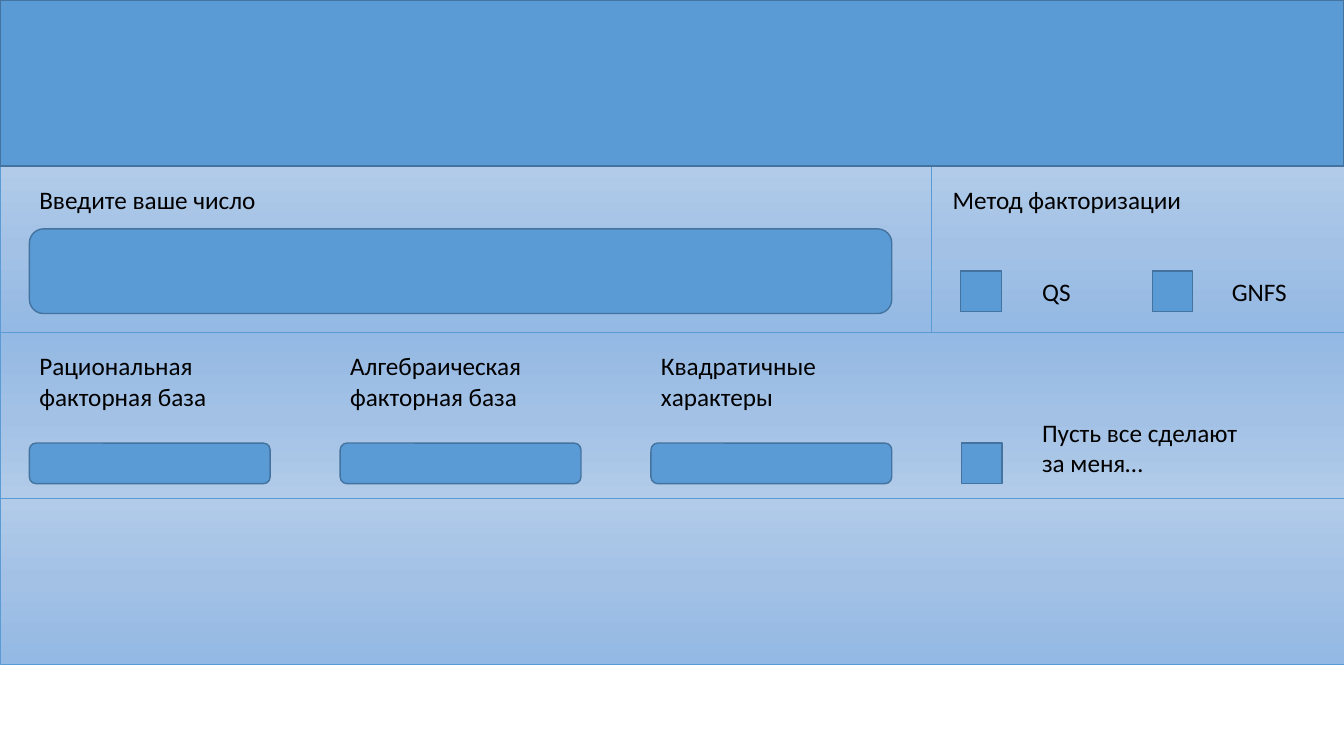
from copy import deepcopy
from dataclasses import dataclass

from pptx import Presentation
from pptx.dml.color import RGBColor
from pptx.enum.shapes import MSO_SHAPE as Preset
from pptx.enum.text import MSO_AUTO_SIZE as AutoSize
from pptx.oxml.ns import qn
from pptx.shapes.autoshape import Shape
from pptx.slide import Slide
from pptx.util import Pt


@dataclass(frozen=True)
class Theme:
    font: str = "Calibri"
    text_size: float = 18
    text: str = "000000"
    fill: str = "5B9BD5"
    control_line: str = "43739E"
    band_line: str = "5B9BD5"
    gradient: tuple[str, str, str] = ("B1CBE9", "A3C1E5", "93B9E4")
    control_line_width: float = 1
    band_line_width: float = 0.5


@dataclass(frozen=True)
class Band:
    left: float
    row: int
    width: float
    rotation: float = 0


@dataclass(frozen=True)
class Control:
    left: float
    top: float
    width: float
    height: float
    preset: Preset = Preset.RECTANGLE


@dataclass(frozen=True)
class Label:
    text: str
    left: float
    top: float
    width: float
    height: float = 29


THEME = Theme()
PAGE_WIDTH, PAGE_HEIGHT = 960, 540
BAND_HEIGHT = 118.6
DIVIDER = 665.3
MARGIN = 21
COLUMN_PITCH, COLUMN_WIDTH = 222, 172
BOX = 29
METHOD_TOP, BASE_TOP = 193.5, 316.5
CAPTION_LEFT = 737.3

BASE_NAMES = (
    "Рациональная факторная база",
    "Алгебраическая факторная база",
    "Квадратичные характеры",
)
COLUMNS = [MARGIN + index * COLUMN_PITCH for index in range(len(BASE_NAMES))]

BANDS = [
    Band(0, 1, DIVIDER),
    Band(DIVIDER, 1, PAGE_WIDTH - DIVIDER),
    Band(0, 2, PAGE_WIDTH, rotation=180),
    Band(0, 3, PAGE_WIDTH),
]
CONTROLS = [
    Control(0, 0, PAGE_WIDTH, BAND_HEIGHT),
    Control(MARGIN, 163.5, 616, 60.5, Preset.ROUNDED_RECTANGLE),
    Control(686.3, METHOD_TOP, BOX, BOX),
    Control(823, METHOD_TOP, BOX, BOX),
    Control(686.8, BASE_TOP, BOX, BOX),
    *(Control(left, BASE_TOP, COLUMN_WIDTH, BOX, Preset.ROUNDED_RECTANGLE) for left in COLUMNS),
]
LABELS = [
    Label("Введите ваше число", MARGIN, 128.2, 345.6),
    Label("Метод факторизации", 673.4, 128.2, 234.7),
    Label("QS", CAPTION_LEFT, METHOD_TOP, 64),
    Label("GNFS", 872.8, METHOD_TOP, 66),
    Label("Пусть все сделают за меня…", CAPTION_LEFT, 294.4, COLUMN_WIDTH, 51),
    *(Label(name, left, 246.9, COLUMN_WIDTH, 51) for name, left in zip(BASE_NAMES, COLUMNS)),
]


def set_attributes(target: object, values: dict[str, object]) -> None:
    for name, value in values.items():
        setattr(target, name, value)


def add_outlined(page: Slide, preset: Preset, left: float, top: float, width: float,
                 height: float, line: str, line_width: float) -> Shape:
    shape = page.shapes.add_shape(preset, Pt(left), Pt(top), Pt(width), Pt(height))
    shape.shadow.inherit = False
    shape.line.color.rgb = RGBColor.from_string(line)
    shape.line.width = Pt(line_width)
    return shape


def fill_gradient(shape: Shape, colors: tuple[str, str, str]) -> None:
    """Fill the shape from top to bottom with evenly spaced colours."""
    shape.fill.gradient()
    shape.fill.gradient_angle = 270
    stop_list = shape.element.spPr.find(".//" + qn("a:gsLst"))
    stop_list.insert(1, deepcopy(stop_list[0]))
    for index, (stop, color) in enumerate(zip(shape.fill.gradient_stops, colors)):
        stop.color.rgb = RGBColor.from_string(color)
        stop.position = index / (len(colors) - 1)


def add_band(page: Slide, band: Band) -> None:
    shape = add_outlined(page, Preset.RECTANGLE, band.left, band.row * BAND_HEIGHT, band.width,
                         BAND_HEIGHT, THEME.band_line, THEME.band_line_width)
    shape.rotation = band.rotation
    fill_gradient(shape, THEME.gradient)


def add_control(page: Slide, control: Control) -> None:
    shape = add_outlined(page, control.preset, control.left, control.top, control.width,
                         control.height, THEME.control_line, THEME.control_line_width)
    shape.fill.solid()
    shape.fill.fore_color.rgb = RGBColor.from_string(THEME.fill)


def add_label(page: Slide, label: Label) -> None:
    box = page.shapes.add_textbox(Pt(label.left), Pt(label.top), Pt(label.width), Pt(label.height))
    set_attributes(box.text_frame, {"word_wrap": True, "auto_size": AutoSize.SHAPE_TO_FIT_TEXT})
    span = box.text_frame.paragraphs[0].add_run()
    span.text = label.text
    set_attributes(span.font, {"name": THEME.font, "size": Pt(THEME.text_size)})
    span.font.color.rgb = RGBColor.from_string(THEME.text)


def main() -> None:
    deck = Presentation()
    set_attributes(deck, {"slide_width": Pt(PAGE_WIDTH), "slide_height": Pt(PAGE_HEIGHT)})
    page = deck.slides.add_slide(deck.slide_layouts.get_by_name("Blank"))
    for band in BANDS:
        add_band(page, band)
    for control in CONTROLS:
        add_control(page, control)
    for label in LABELS:
        add_label(page, label)
    deck.save("out.pptx")


if __name__ == "__main__":
    main()
